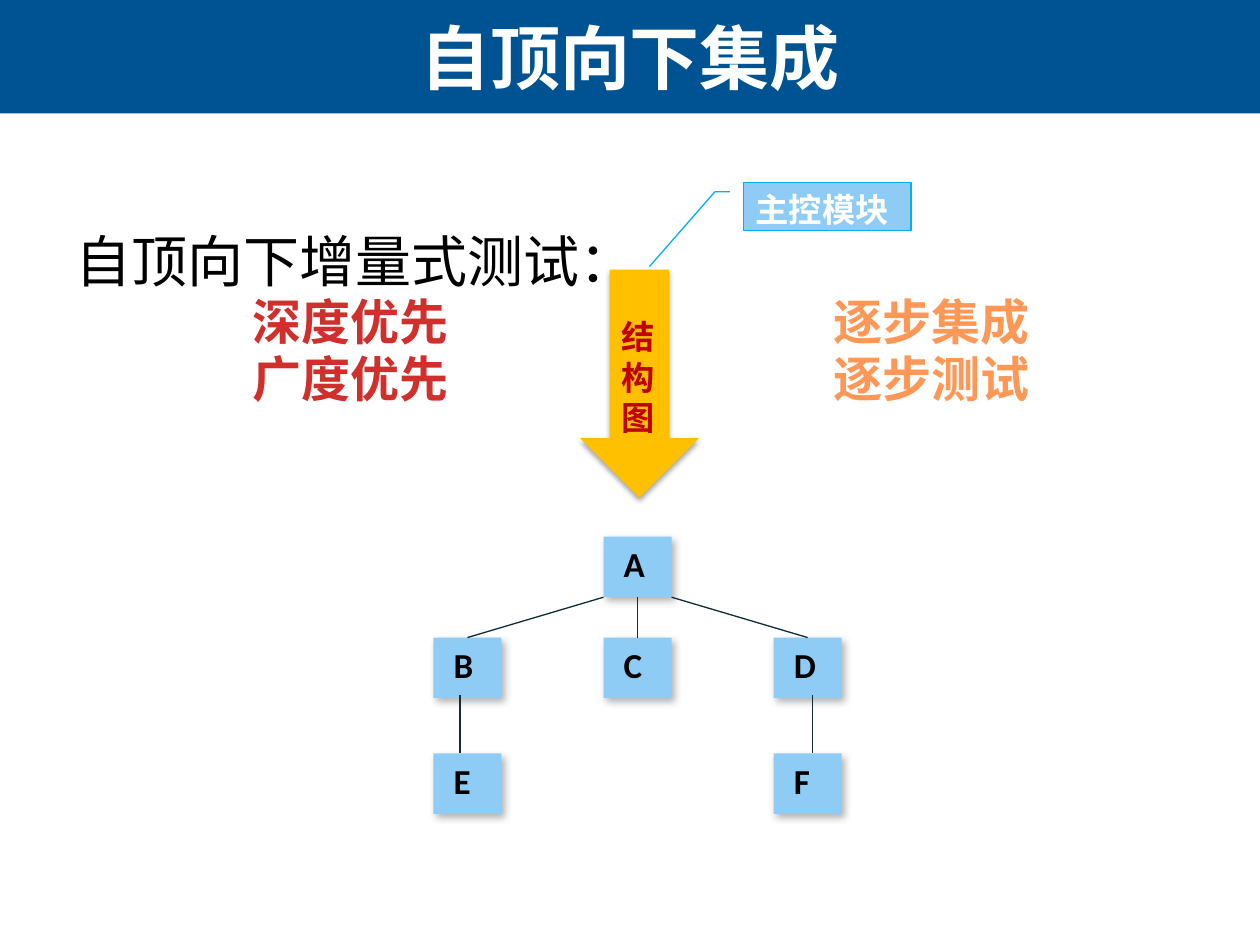
from dataclasses import dataclass

from lxml.etree import SubElement
from pptx import Presentation
from pptx.dml.color import RGBColor
from pptx.enum.shapes import MSO_CONNECTOR, MSO_SHAPE
from pptx.enum.text import MSO_ANCHOR, PP_ALIGN
from pptx.oxml.ns import qn
from pptx.util import Inches, Pt


@dataclass(frozen=True)
class Theme:
    white: str = "FFFFFF"
    black: str = "000000"
    banner: str = "005392"
    arrow: str = "FFC000"
    arrow_text: str = "C00000"
    node: str = "8FCCF5"
    callout_line: str = "00B0F0"
    link: str = "102C34"
    priority: str = "D02F2C"
    stepwise: str = "FF9856"
    title_size: int = 40
    body_size: int = 32
    emphasis_size: int = 28
    node_size: int = 20
    label_size: int = 19
    line_width: float = 0.75
    heading_font: str = "Arial"
    chinese_font: str = "Noto Sans CJK SC"
    node_font: str = "Calibri"


THEME = Theme()
NODE_WIDTH, NODE_HEIGHT = 0.54, 0.48
NODES = {
    "A": (4.79, 4.26),
    "B": (3.44, 5.06),
    "C": (4.79, 5.06),
    "D": (6.14, 5.06),
    "E": (3.44, 5.98),
    "F": (6.14, 5.98),
}
LINKS = [
    (4.79, 4.74, 3.71, 5.06),
    (5.33, 4.74, 6.41, 5.06),
    (5.06, 4.74, 5.06, 5.06),
    (3.65, 5.52, 3.65, 5.98),
    (6.45, 5.52, 6.45, 5.98),
]


def write_text(shape, lines, size, color, font, bold=True, align=PP_ALIGN.LEFT, spacing=None):
    frame = shape.text_frame
    frame.text = "\n".join(lines)
    for paragraph in frame.paragraphs:
        paragraph.alignment = align
        if spacing:
            paragraph.line_spacing = Pt(spacing)
        paragraph.font.size = Pt(size)
        paragraph.font.bold = bold
        paragraph.font.color.rgb = RGBColor.from_string(color)
        paragraph.font.name = font
        if font == THEME.chinese_font:
            properties = paragraph.font._element
            SubElement(properties, qn("a:ea"), typeface=font)


def add_text(slide, box, lines, size, color, font, wrap=True, **style):
    shape = slide.shapes.add_textbox(*map(Inches, box))
    shape.text_frame.word_wrap = wrap
    write_text(shape, lines, size, color, font, **style)
    return shape


def add_filled_shape(slide, kind, box, fill):
    shape = slide.shapes.add_shape(kind, *map(Inches, box))
    shape.shadow.inherit = False
    shape.fill.solid()
    shape.fill.fore_color.rgb = RGBColor.from_string(fill)
    shape.line.fill.background()
    shape.text_frame.vertical_anchor = MSO_ANCHOR.TOP
    return shape


def add_shadow(shape, opacity, blur, distance, angle):
    effects = shape._element.spPr.find(qn("a:effectLst"))
    shadow = SubElement(
        effects, qn("a:outerShdw"), blurRad=str(Pt(blur)), dist=str(Pt(distance)),
        dir=str(angle * 60000), algn="ctr", rotWithShape="0",
    )
    color = SubElement(shadow, qn("a:srgbClr"), val=THEME.black)
    SubElement(color, qn("a:alpha"), val=str(opacity * 1000))


def add_bullet(shape, character, indent):
    properties = shape.text_frame.paragraphs[0]._p.get_or_add_pPr()
    properties.set("marL", str(Inches(indent)))
    properties.set("indent", str(-Inches(indent)))
    SubElement(properties, qn("a:buFont"), typeface=THEME.heading_font)
    SubElement(properties, qn("a:buChar"), char=character)


def add_body(slide):
    body = slide.shapes.add_textbox(Inches(0.5), Inches(1.75), Inches(9), Inches(4.95))
    body.text_frame.word_wrap = True
    add_bullet(body, "•", 0.38)
    write_text(body, ["自顶向下增量式测试："], THEME.body_size, THEME.black,
               THEME.heading_font, bold=False)


def add_emphasis(slide, left, lines, color):
    add_text(slide, (left, 2.27, 1.78, 1.04), lines, THEME.emphasis_size, color,
             THEME.chinese_font, wrap=False, align=PP_ALIGN.CENTER, spacing=33)


def add_structure_arrow(slide):
    arrow = add_filled_shape(slide, MSO_SHAPE.DOWN_ARROW, (4.6, 2.14, 0.95, 1.81), THEME.arrow)
    add_shadow(arrow, 35, 3.1, 1.8, 90)
    arrow.text_frame.margin_top = Inches(0.37)
    write_text(arrow, ["结构图"], THEME.label_size, THEME.arrow_text,
               THEME.chinese_font, spacing=23)


def add_callout(slide):
    callout = add_filled_shape(slide, MSO_SHAPE.LINE_CALLOUT_2, (5.9, 1.45, 1.33, 0.38), THEME.node)
    for index, value in enumerate((0.19, -0.08, 0.19, -0.17, 1.75, -0.56)):
        callout.adjustments[index] = value
    callout.line.color.rgb = RGBColor.from_string(THEME.callout_line)
    callout.line.width = Pt(THEME.line_width)
    write_text(callout, ["主控模块"], THEME.label_size, THEME.white,
               THEME.chinese_font, spacing=23)


def add_node(slide, name, left, top):
    node = add_filled_shape(slide, MSO_SHAPE.RECTANGLE, (left, top, NODE_WIDTH, NODE_HEIGHT), THEME.node)
    add_shadow(node, 30, 4.5, 2.6, 53)
    node.text_frame.margin_left = Inches(0.16)
    write_text(node, [name], THEME.node_size, THEME.black, THEME.node_font)


def add_link(slide, ends):
    link = slide.shapes.add_connector(MSO_CONNECTOR.STRAIGHT, *map(Inches, ends))
    link.line.color.rgb = RGBColor.from_string(THEME.link)
    link.line.width = Pt(THEME.line_width)
    SubElement(link._element.spPr, qn("a:effectLst"))


def add_title(slide):
    title = add_text(slide, (0, 0, 10, 0.9), ["自顶向下集成"], THEME.title_size, THEME.white,
                     THEME.heading_font, align=PP_ALIGN.CENTER)
    title.text_frame.vertical_anchor = MSO_ANCHOR.MIDDLE


def main():
    presentation = Presentation()
    presentation.slide_width, presentation.slide_height = Inches(10), Inches(7.5)
    slide = presentation.slides.add_slide(presentation.slide_layouts[6])
    add_filled_shape(slide, MSO_SHAPE.RECTANGLE, (0, 0, 10, 0.9), THEME.banner)
    add_body(slide)
    add_structure_arrow(slide)
    add_emphasis(slide, 6.5, ["逐步集成", "逐步测试"], THEME.stepwise)
    add_callout(slide)
    add_emphasis(slide, 1.89, ["深度优先", "广度优先"], THEME.priority)
    for name, position in NODES.items():
        add_node(slide, name, *position)
    for ends in LINKS:
        add_link(slide, ends)
    add_title(slide)
    presentation.save("out.pptx")


if __name__ == "__main__":
    main()
